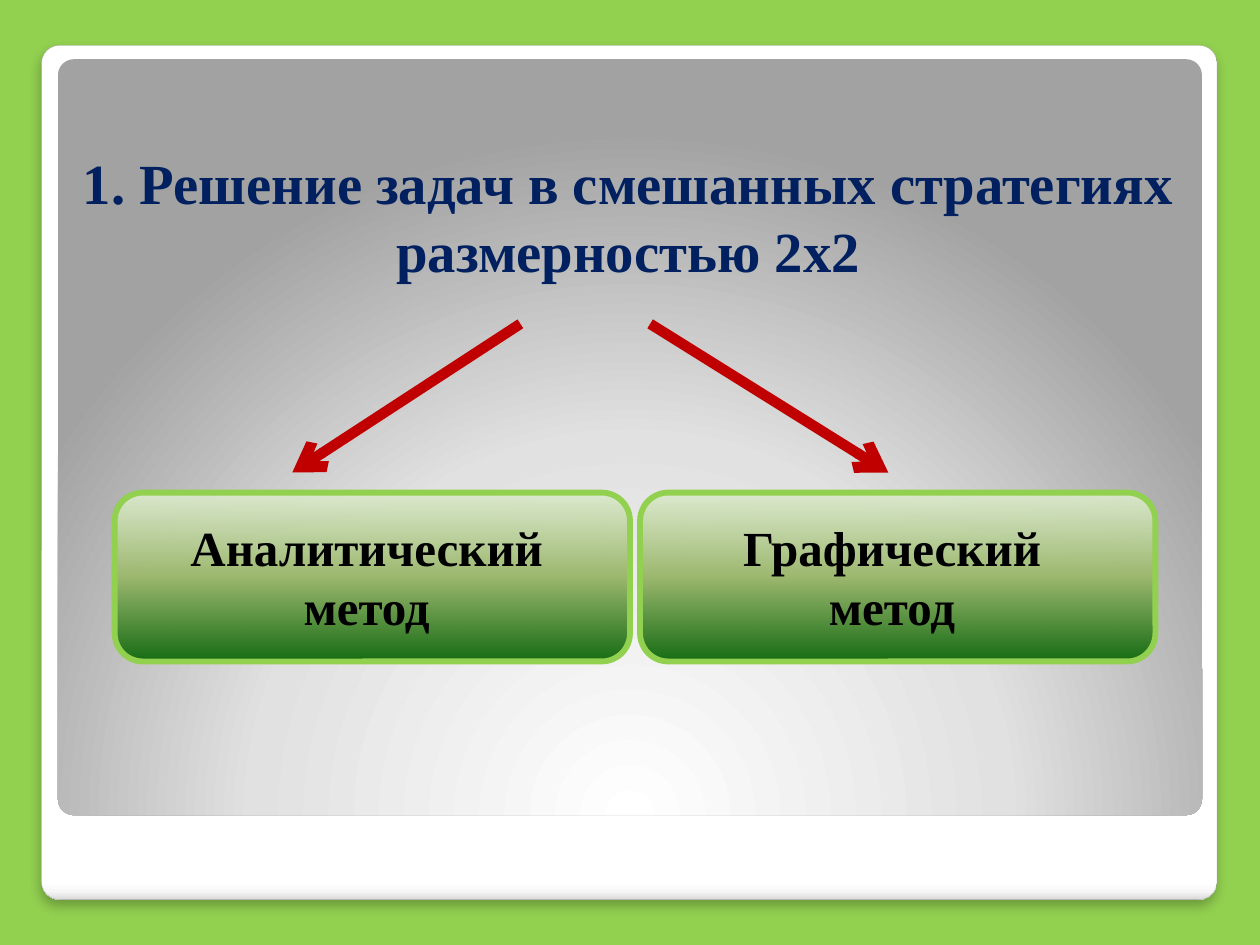
"""Build a slide that splits one game-theory task into two solution methods."""
from dataclasses import dataclass

import pptx
import pptx.dml.color
import pptx.enum.shapes
import pptx.enum.text
import pptx.oxml
import pptx.oxml.ns
import pptx.util

NS = pptx.oxml.ns.nsdecls("a")
SHAPE = pptx.enum.shapes.MSO_SHAPE.ROUNDED_RECTANGLE
ANCHOR = pptx.enum.text.MSO_ANCHOR
WIDTH, HEIGHT = pptx.util.Inches(10), pptx.util.Inches(7.5)
DOWN = '<a:lin ang="5400000" scaled="0"/>'
FROM_BOTTOM = '<a:path path="circle"><a:fillToRect l="50000" t="175000" r="50000" b="-75000"/></a:path>'


@dataclass(frozen=True)
class Theme:
    font: str = "Times New Roman"
    title_size: float = 32.4
    label_size: float = 28
    green: str = "92D050"
    navy: str = "002060"
    black: str = "000000"
    red: str = "C00000"
    edge: str = "A4A4A4"
    frame: tuple = ((0, "FFFFFF"), (98, "FFFFFF"), (99, "F7F7F7"), (100, "DADADA"))
    panel: tuple = ((0, "FFFFFF"), (55, "E1E1E1"), (100, "A2A2A2"))
    card: tuple = ((0, "DDEBCF", 94), (50, "9CB86E"), (100, "156B13"))


@dataclass(frozen=True)
class Box:
    """A rectangle in percent of the slide's width and height."""
    x: float
    y: float
    w: float
    h: float

    def emu(self) -> tuple:
        return across(self.x), down(self.y), across(self.w), down(self.h)


@dataclass(frozen=True)
class Method:
    text: str
    arrow_start: float
    arrow_end: float


THEME = Theme()
METHODS = (
    Method("Аналитический метод", 41.3, 23.2),
    Method("Графический метод", 51.6, 70.5),
)
CARD_LEFT, CARD_STEP = 9.1, 41.7


def across(share: float) -> int:
    return int(WIDTH * share / 100)


def down(share: float) -> int:
    return int(HEIGHT * share / 100)


def rgb(color: str) -> pptx.dml.color.RGBColor:
    return pptx.dml.color.RGBColor.from_string(color)


def set_gradient(sp, stops: tuple, direction: str) -> None:
    """Give a shape a gradient of (percent, colour, optional opacity) stops."""
    items = "".join(
        f'<a:gs pos="{pos * 1000}"><a:srgbClr val="{color}">'
        + "".join(f'<a:alpha val="{a * 1000}"/>' for a in alpha)
        + "</a:srgbClr></a:gs>"
        for pos, color, *alpha in stops
    )
    sp.fill.solid()
    solid = sp._element.spPr.find(pptx.oxml.ns.qn("a:solidFill"))
    grad = pptx.oxml.parse_xml(
        f'<a:gradFill {NS} rotWithShape="1"><a:gsLst>{items}</a:gsLst>{direction}</a:gradFill>'
    )
    solid.getparent().replace(solid, grad)


def add_rounded(s, box: Box, stops: tuple, direction: str = DOWN,
                line: tuple | None = None, radius: float | None = None):
    sp = s.shapes.add_shape(SHAPE, *box.emu())
    sp.shadow.inherit = False
    if radius is not None:
        sp.adjustments[0] = radius
    set_gradient(sp, stops, direction)
    if line:
        sp.line.color.rgb, sp.line.width = rgb(line[0]), pptx.util.Pt(line[1])
    else:
        sp.line.fill.background()
    return sp


def add_shadow(sp) -> None:
    """Put a soft shadow below a shape."""
    effects = sp._element.spPr.find(pptx.oxml.ns.qn("a:effectLst"))
    effects.append(pptx.oxml.parse_xml(
        f'<a:outerShdw {NS} blurRad="{pptx.util.Pt(6)}" dist="{pptx.util.Pt(4)}" dir="5400000" '
        'algn="tl" rotWithShape="0"><a:srgbClr val="000000"><a:alpha val="25000"/></a:srgbClr></a:outerShdw>'
    ))


def add_text(s, box: Box, text: str, size: float, color: str, anchor=ANCHOR.TOP) -> None:
    tf = s.shapes.add_textbox(*box.emu()).text_frame
    tf.word_wrap = True
    tf.vertical_anchor = anchor
    tf.text = text
    p = tf.paragraphs[0]
    p.alignment = pptx.enum.text.PP_ALIGN.CENTER
    font = p.runs[0].font
    font.name, font.size, font.bold = THEME.font, pptx.util.Pt(size), True
    font.color.rgb = rgb(color)


def add_arrow(s, x1: float, y1: float, x2: float, y2: float) -> None:
    cxn = s.shapes.add_connector(
        pptx.enum.shapes.MSO_CONNECTOR.STRAIGHT, across(x1), down(y1), across(x2), down(y2)
    )
    cxn.line.color.rgb, cxn.line.width = rgb(THEME.red), pptx.util.Pt(6)
    cxn.line._get_or_add_ln().append(pptx.oxml.parse_xml(f'<a:tailEnd {NS} type="arrow"/>'))
    cxn._element.spPr.append(pptx.oxml.parse_xml(f"<a:effectLst {NS}/>"))


def add_method(s, column: int, method: Method) -> None:
    x = CARD_LEFT + column * CARD_STEP
    add_arrow(s, method.arrow_start, 34.27, method.arrow_end, 50)
    add_rounded(s, Box(x, 52.13, 40.9, 17.87), THEME.card, line=(THEME.green, 3.35))
    add_text(s, Box(x + 2.3, 54.13, 35.4, 13.87), method.text, THEME.label_size, THEME.black)


def main() -> None:
    prs = pptx.Presentation()
    prs.slide_width, prs.slide_height = WIDTH, HEIGHT
    s = prs.slides.add_slide(prs.slide_layouts[6])
    s.background.fill.solid()
    s.background.fill.fore_color.rgb = rgb(THEME.green)
    frame = add_rounded(s, Box(3.3, 4.8, 93.3, 90.4), THEME.frame, line=(THEME.edge, 0.16), radius=0.021)
    add_shadow(frame)
    add_rounded(s, Box(4.6, 6.27, 90.8, 80), THEME.panel, FROM_BOTTOM, radius=0.021)
    add_text(s, Box(5.1, 15.33, 89.5, 15.33), "1. Решение задач в смешанных стратегиях размерностью 2х2",
             THEME.title_size, THEME.navy, ANCHOR.BOTTOM)
    for column, method in enumerate(METHODS):
        add_method(s, column, method)
    prs.save("out.pptx")


if __name__ == "__main__":
    main()
